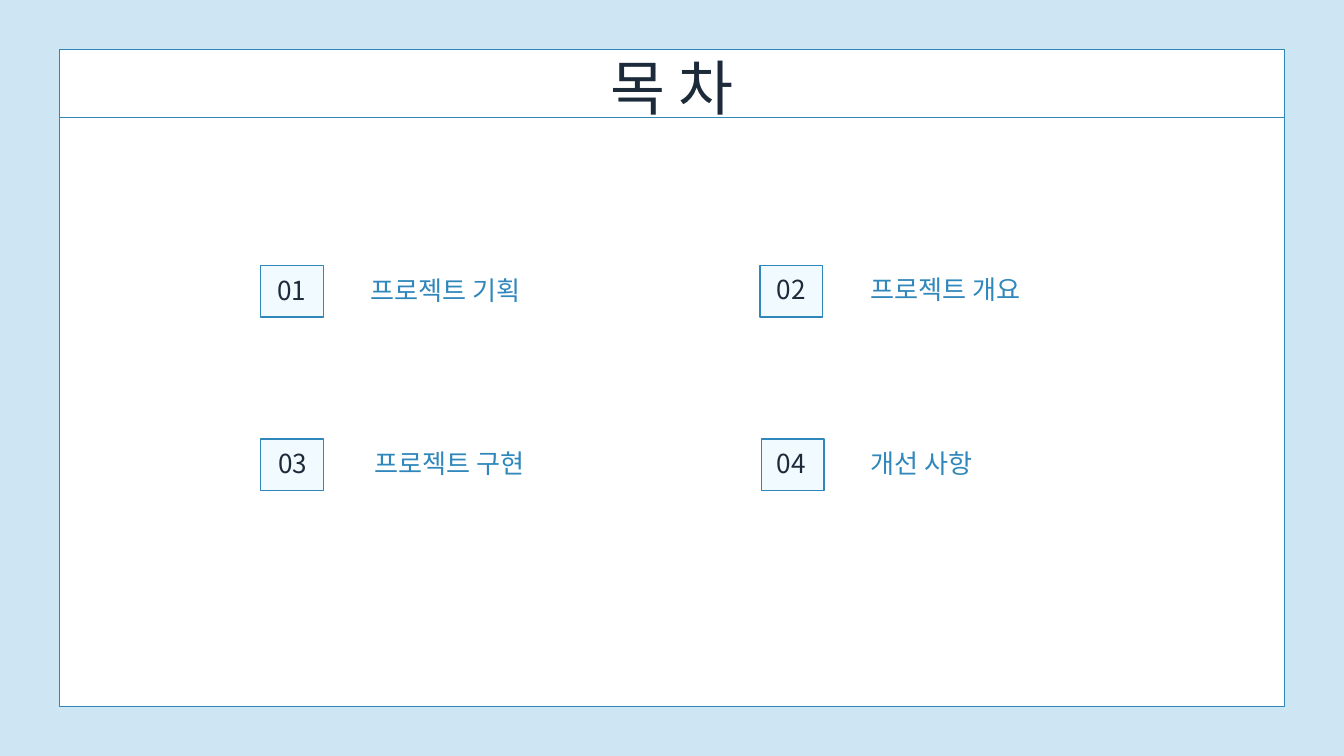
from dataclasses import dataclass

from lxml.etree import SubElement
from pptx import Presentation
from pptx.dml.color import RGBColor
from pptx.enum.shapes import MSO_CONNECTOR, MSO_SHAPE
from pptx.enum.text import MSO_ANCHOR, MSO_AUTO_SIZE, PP_ALIGN
from pptx.oxml.ns import qn
from pptx.util import Pt


@dataclass(frozen=True)
class Theme:
    back: RGBColor = RGBColor(0xCE, 0xE6, 0xF4)
    panel: RGBColor = RGBColor(0xFF, 0xFF, 0xFF)
    tile: RGBColor = RGBColor(0xF1, 0xFA, 0xFF)
    blue: RGBColor = RGBColor(0x30, 0x87, 0xBB)
    dark: RGBColor = RGBColor(0x1D, 0x2A, 0x3A)
    face: str = "Noto Sans CJK KR"
    head: float = 64
    item: float = 28
    rule: float = 1.5


@dataclass(frozen=True)
class Box:
    left: float
    top: float
    width: float
    height: float

    def lengths(self) -> tuple[Pt, Pt, Pt, Pt]:
        return Pt(self.left), Pt(self.top), Pt(self.width), Pt(self.height)


@dataclass(frozen=True)
class Entry:
    number: str
    label: str
    tile: Box
    mark: Box
    name: Box


THEME = Theme()


def draw_box(slide, box: Box, fill: RGBColor) -> None:
    shape = slide.shapes.add_shape(MSO_SHAPE.RECTANGLE, *box.lengths())
    shape.shadow.inherit = False
    shape.fill.solid()
    shape.fill.fore_color.rgb = fill
    shape.line.color.rgb = THEME.blue
    shape.line.width = Pt(THEME.rule)


def draw_rule(slide, left: float, right: float, y: float) -> None:
    line = slide.shapes.add_connector(
        MSO_CONNECTOR.STRAIGHT, Pt(left), Pt(y), Pt(right), Pt(y))
    line.line.color.rgb = THEME.blue
    line.line.width = Pt(THEME.rule)
    SubElement(line._element.spPr, qn("a:effectLst"))


def set_text(shape, text: str, size: float, color: RGBColor,
             align: PP_ALIGN, pitch: float) -> None:
    frame = shape.text_frame
    frame.word_wrap = True
    frame.auto_size = MSO_AUTO_SIZE.NONE
    frame.vertical_anchor = MSO_ANCHOR.TOP
    frame.margin_left = frame.margin_right = Pt(0)
    frame.margin_top = frame.margin_bottom = Pt(0)
    frame.text = text
    para = frame.paragraphs[0]
    para.alignment = align
    para.line_spacing = Pt(pitch)
    font = para.font
    font.size = Pt(size)
    font.name = THEME.face
    font.color.rgb = color
    # Korean glyphs take the East Asian typeface
    props = para._p.pPr.find(qn("a:defRPr"))
    SubElement(props, qn("a:ea"), typeface=THEME.face)


def draw_text(slide, box: Box, text: str, color: RGBColor, align: PP_ALIGN) -> None:
    shape = slide.shapes.add_textbox(*box.lengths())
    set_text(shape, text, THEME.item, color, align, THEME.item * 1.2)


def draw_entry(slide, entry: Entry) -> None:
    draw_box(slide, entry.tile, THEME.tile)
    draw_text(slide, entry.mark, entry.number, THEME.dark, PP_ALIGN.CENTER)
    draw_text(slide, entry.name, entry.label, THEME.blue, PP_ALIGN.LEFT)


def make_entry(number: str, label: str, col: int, row: int, shift: float = 0,
               rise: float = 0, indent: float = 0, extra: float = 0) -> Entry:
    """Place an entry on the two-by-two grid, with its small offsets."""
    x, y = 279.4 + 535 * col, 284.4 + 185.8 * row
    text = (294.5, 479.5)[row] - rise
    return Entry(number, label,
                 Box(x + shift, y, 67, 55.4),
                 Box(x - 13, text, 92.9 + extra, 34.6),
                 Box(x + 118 + indent, text, 306 - indent, 34.6))


def main() -> None:
    deck = Presentation()
    deck.slide_width, deck.slide_height = Pt(1440), Pt(810)
    slide = deck.slides.add_slide(deck.slide_layouts[5])
    slide.background.fill.solid()
    slide.background.fill.fore_color.rgb = THEME.back

    # Panel and header rule
    panel = Box(64, 53.2, 1312, 703.5)
    draw_box(slide, panel, THEME.panel)
    draw_rule(slide, panel.left, panel.left + panel.width, 126)

    # Title, brought in front of the panel
    title = slide.shapes.title
    title.left, title.top, title.width, title.height = Box(
        499.5, 41.8, 441, 88).lengths()
    set_text(title, "목 차", THEME.head, THEME.dark, PP_ALIGN.CENTER,
             THEME.head * 1.4)
    title._element.getparent().append(title._element)

    # Contents
    for entry in (
        make_entry("01", "프로젝트 기획", 0, 0),
        make_entry("02", "프로젝트 개요", 1, 0, rise=2),
        make_entry("03", "프로젝트 구현", 0, 1, indent=3.6, extra=2.1),
        make_entry("04", "개선 사항", 1, 1, shift=1.4),
    ):
        draw_entry(slide, entry)

    deck.save("out.pptx")


if __name__ == "__main__":
    main()
